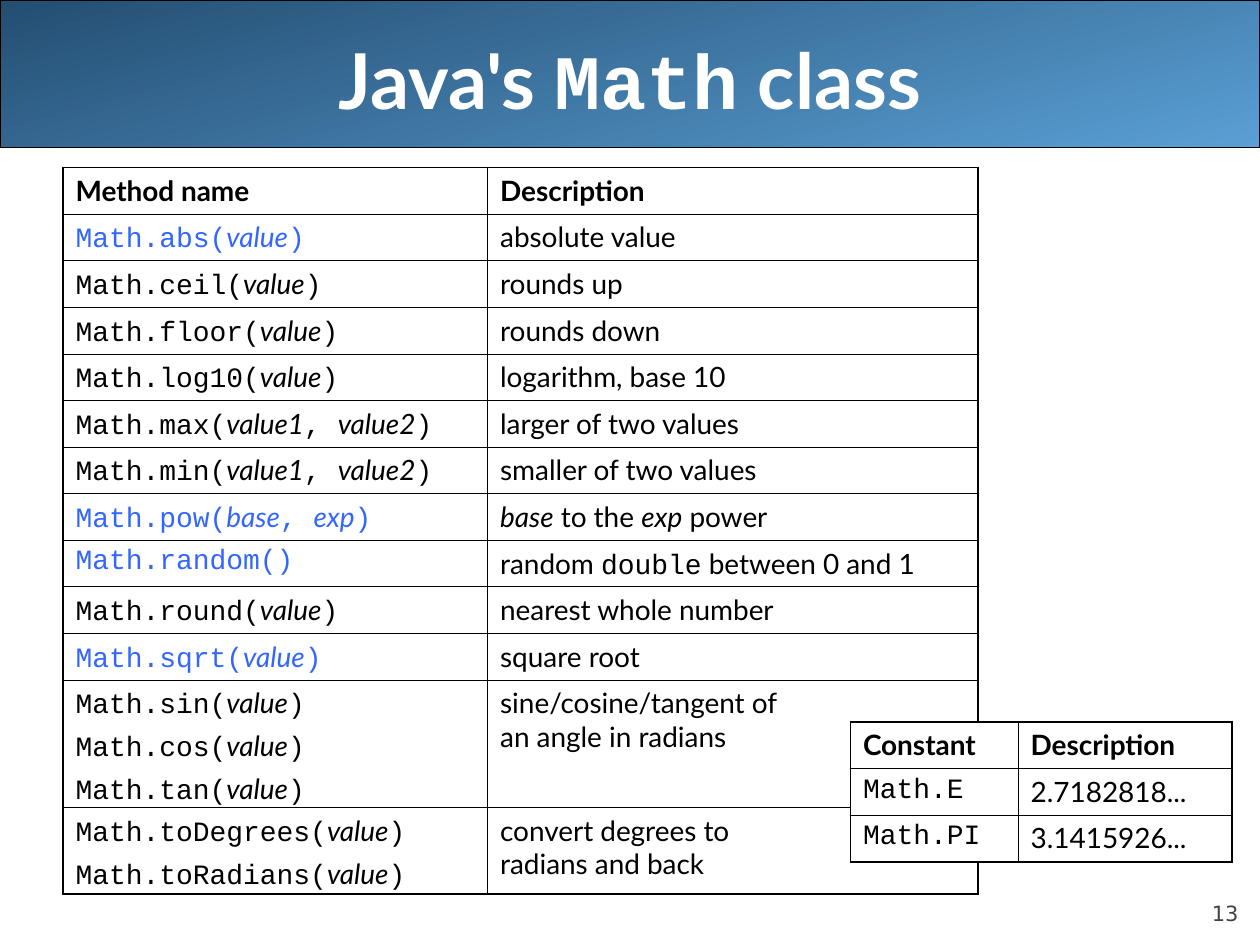
import pptx
import pptx.dml.color
import pptx.enum.shapes
import pptx.enum.text
import pptx.oxml
import pptx.oxml.ns
import pptx.util
from pptx.util import Inches, Pt

TEXT, CODE = "Lato", "Courier New"
BLACK, WHITE, BLUE = "000000", "FFFFFF", "3366FF"
THICK, THIN = 1.08, 0.45

# `...` is code and *...* is italic; \n starts a paragraph, \v a line
TITLE = "Java's `Math` class"
METHODS = [
    ("Method name", "Description"),
    ("`Math.abs(*value*)`", "absolute value"),
    ("`Math.ceil(*value*)`", "rounds up"),
    ("`Math.floor(*value*)`", "rounds down"),
    ("`Math.log10(*value*)`", "logarithm, base 10"),
    ("`Math.max(*value1*, *value2*)`", "larger of two values"),
    ("`Math.min(*value1*, *value2*)`", "smaller of two values"),
    ("`Math.pow(*base*, *exp*)`", "*base* to the *exp* power"),
    ("`Math.random()`", "random `double` between 0 and 1"),
    ("`Math.round(*value*)`", "nearest whole number"),
    ("`Math.sqrt(*value*)`", "square root"),
    ("`Math.sin(*value*)`\n`Math.cos(*value*)`\n`Math.tan(*value*)`",
     "sine/cosine/tangent of\van angle in radians"),
    ("`Math.toDegrees(*value*)`\n`Math.toRadians(*value*)`",
     "convert degrees to\vradians and back"),
]
BLUE_ROWS = {1, 7, 8, 10}
CONSTANTS = [
    ("Constant", "Description"),
    ("`Math.E`", "2.7182818..."),
    ("`Math.PI`", "3.1415926..."),
]
ROW_HIGH = {1: 0.37, 2: 0.69, 3: 1.01}  # by number of paragraphs


def rgb(code):
    return pptx.dml.color.RGBColor.from_string(code)


def style(item, form):
    for name, value in form.items():
        setattr(item, name, value)


def add_runs(para, text, size, color, bold=False):
    """Add marked text as runs, with code and italics set apart."""
    for i, part in enumerate(text.split("`")):
        for j, bit in enumerate(part.split("*")):
            for k, line in enumerate(bit.split("\v")):
                if k:
                    para.add_line_break()
                if not line:
                    continue
                run = para.add_run()
                run.text = line
                code = i % 2 and not j % 2
                style(run.font, {"name": CODE if code else TEXT,
                                 "size": Pt(size), "bold": bold,
                                 "italic": bool(j % 2)})
                run.font.color.rgb = rgb(color)


def set_edges(cell, widths):
    props = cell._tc.get_or_add_tcPr()
    for side, width in zip("LRTB", widths):
        props.append(pptx.oxml.parse_xml(
            f'<a:ln{side} {pptx.oxml.ns.nsdecls("a")} w="{Pt(width)}">'
            f'<a:solidFill><a:srgbClr val="{BLACK}"/></a:solidFill>'
            f'</a:ln{side}>'))


def add_grid(slide, left, top, cols, rows, blue=()):
    """Add a table with a bold first row, thick outside and thin inside."""
    highs = [ROW_HIGH[row[0].count("\n") + 1] for row in rows]
    table = slide.shapes.add_table(
        len(rows), len(cols), Inches(left), Inches(top),
        Inches(sum(cols)), Inches(sum(highs))).table
    style(table, {"first_row": False, "horz_banding": False})
    for col, wide in zip(table.columns, cols):
        col.width = Inches(wide)
    for r, row in enumerate(rows):
        table.rows[r].height = Inches(highs[r])
        for c, text in enumerate(row):
            cell = table.cell(r, c)
            outer = (c == 0, c == len(cols) - 1, r == 0, r == len(rows) - 1)
            set_edges(cell, [THICK if out else THIN for out in outer])
            cell.fill.solid()
            cell.fill.fore_color.rgb = rgb(WHITE)
            frame = cell.text_frame
            color = BLUE if r in blue and c == 0 else BLACK
            for n, line in enumerate(text.split("\n")):
                para = frame.add_paragraph() if n else frame.paragraphs[0]
                if n:
                    para.space_before = Pt(4)
                add_runs(para, line, 16, color, bold=r == 0)


def add_bar(slide):
    """Add the shaded band behind the title."""
    bar = slide.shapes.add_shape(
        pptx.enum.shapes.MSO_SHAPE.ROUNDED_RECTANGLE,
        0, 0, Inches(10), Inches(1.17))
    bar.adjustments[0] = 0
    bar.shadow.inherit = False
    bar.fill.gradient()
    bar.fill.gradient_angle = 105
    for stop, color in zip(bar.fill.gradient_stops, ("5A9FD4", "244E72")):
        stop.color.rgb = rgb(color)
    bar.line.color.rgb = rgb(BLACK)
    bar.line.width = Pt(0.75)
    slide.shapes._spTree.insert(2, bar._element)


def add_title(slide):
    title = slide.shapes.title
    style(title, {"left": Inches(0.5), "top": 0,
                  "width": Inches(9), "height": Inches(1.25)})
    frame = title.text_frame
    style(frame, {"vertical_anchor": pptx.enum.text.MSO_ANCHOR.MIDDLE,
                  "auto_size": pptx.enum.text.MSO_AUTO_SIZE.NONE})
    para = frame.paragraphs[0]
    para.alignment = pptx.enum.text.PP_ALIGN.CENTER
    add_runs(para, TITLE, 44, WHITE, bold=True)


def add_number(slide):
    box = slide.shapes.add_textbox(
        Inches(9), Inches(6.95), Inches(0.83), Inches(0.4))
    frame = box.text_frame
    style(frame, {"word_wrap": True,
                  "vertical_anchor": pptx.enum.text.MSO_ANCHOR.BOTTOM,
                  "margin_left": 0, "margin_right": 0,
                  "margin_top": 0, "margin_bottom": 0})
    para = frame.paragraphs[0]
    para.alignment = pptx.enum.text.PP_ALIGN.RIGHT
    para.text = "13"
    style(para.runs[0].font, {"name": "DejaVu Sans", "size": Pt(12)})
    para.runs[0].font.color.rgb = rgb("424242")


def main():
    deck = pptx.Presentation()
    style(deck, {"slide_width": Inches(10), "slide_height": Inches(7.5)})
    slide = deck.slides.add_slide(deck.slide_layouts[5])
    add_bar(slide)
    add_title(slide)
    add_number(slide)
    add_grid(slide, 0.5, 1.33, (3.37, 3.89), METHODS, BLUE_ROWS)
    add_grid(slide, 6.75, 5.73, (1.33, 1.7), CONSTANTS)
    deck.save("out.pptx")


if __name__ == "__main__":
    main()
